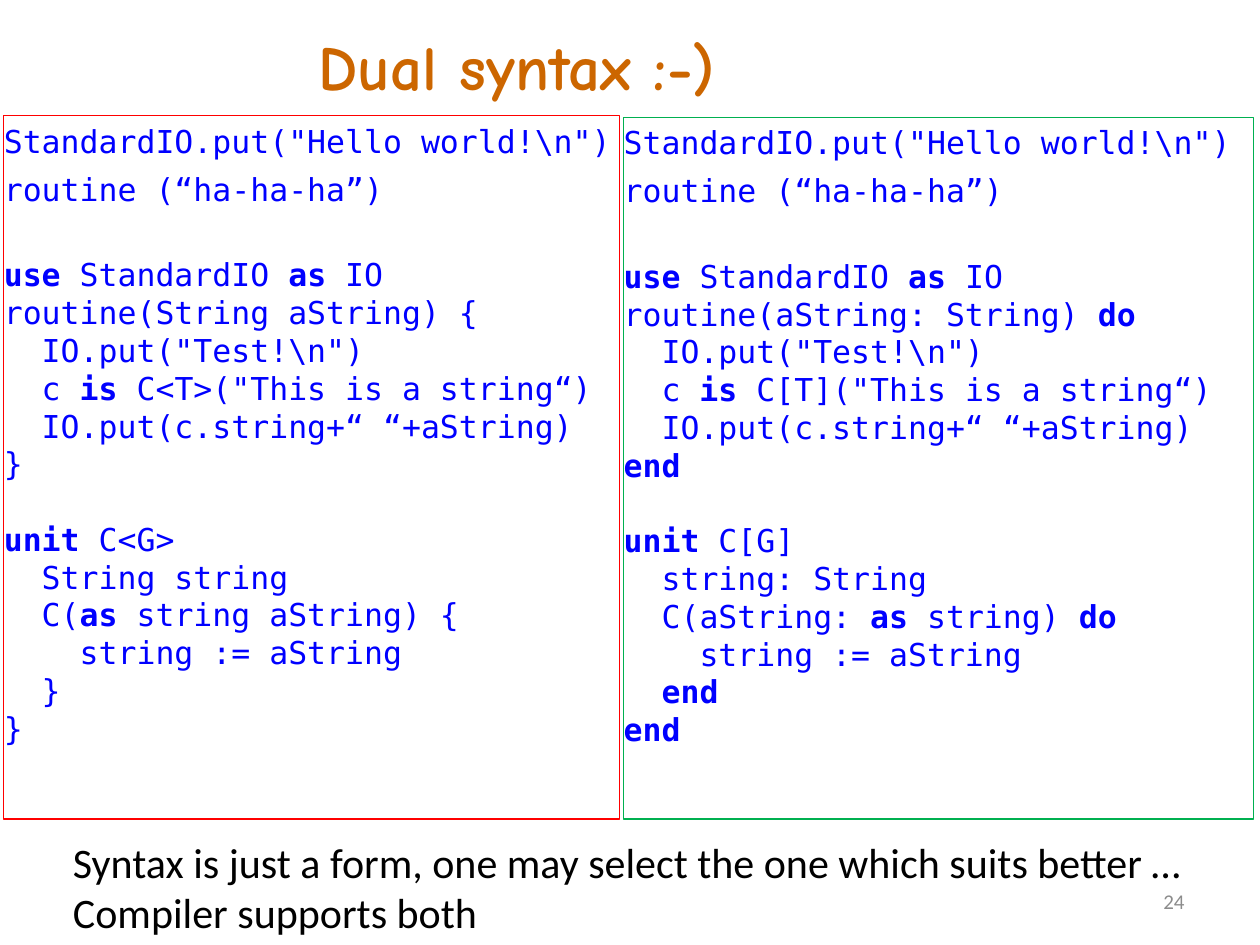
from dataclasses import dataclass

from pptx import Presentation
from pptx.dml.color import RGBColor
from pptx.enum import shapes, text
from pptx.util import Pt

COLORS = {
    "title": "CC6600",
    "code": "0000FF",
    "body": "000000",
    "number": "8C8C8C",
    "braces": "FF0000",
    "keywords": "00B050",
}
BLOCK_GAPS = (0, 5.8, 27.2, 21.5)
SHARED_CALLS = (r'StandardIO.put("Hello world!\n")', "routine (“ha-ha-ha”)")

BRACES_ROUTINE = r"""**use** StandardIO **as** IO
routine(String aString) {
  IO.put("Test!\n")
  c **is** C<T>("This is a string“)
  IO.put(c.string+“ “+aString)
}"""
BRACES_UNIT = """**unit** C<G>
  String string
  C(**as** string aString) {
    string := aString
  }
}"""
KEYWORDS_ROUTINE = r"""**use** StandardIO **as** IO
routine(aString: String) **do**
  IO.put("Test!\n")
  c **is** C[T]("This is a string“)
  IO.put(c.string+“ “+aString)
**end**"""
KEYWORDS_UNIT = """**unit** C[G]
  string: String
  C(aString: **as** string) **do**
    string := aString
  **end**
**end**"""


@dataclass(frozen=True)
class Box:
    left: float
    top: float
    width: float
    height: float

    def lengths(self) -> tuple:
        return tuple(Pt(v) for v in (self.left, self.top, self.width, self.height))


@dataclass(frozen=True)
class CodePanel:
    box: Box
    color: str
    blocks: tuple


PANELS = (
    CodePanel(Box(2.2, 66.2, 352, 401.8), "braces", (*SHARED_CALLS, BRACES_ROUTINE, BRACES_UNIT)),
    CodePanel(Box(356.4, 67, 360, 401), "keywords", (*SHARED_CALLS, KEYWORDS_ROUTINE, KEYWORDS_UNIT)),
)


def write(paragraph, content: str, *, font: str, size: float, color: str,
          bold: bool = False, align=text.PP_ALIGN.LEFT, before: float = 0) -> None:
    """Write text into a paragraph, with **marked** parts in bold."""
    paragraph.alignment = align
    paragraph.space_before = Pt(before)
    for row, line in enumerate(content.split("\n")):
        if row:
            paragraph.add_line_break()
        for index, part in enumerate(line.split("**")):
            if part:
                run = paragraph.add_run()
                run.text = part
                run.font.name = font
                run.font.size = Pt(size)
                run.font.bold = bold or index % 2 == 1
                run.font.color.rgb = RGBColor.from_string(COLORS[color])


def add_label(slide, box: Box, content: str, *, anchor=text.MSO_ANCHOR.TOP, **style) -> None:
    """Add a wrapping text box with one formatted paragraph."""
    frame = slide.shapes.add_textbox(*box.lengths()).text_frame
    frame.word_wrap = True
    frame.vertical_anchor = anchor
    write(frame.paragraphs[0], content, **style)


def add_panel(slide, panel: CodePanel) -> None:
    """Add an outlined rectangle holding blocks of code."""
    shape = slide.shapes.add_shape(shapes.MSO_SHAPE.RECTANGLE, *panel.box.lengths())
    shape.shadow.inherit = False
    shape.fill.background()
    shape.line.color.rgb = RGBColor.from_string(COLORS[panel.color])
    shape.line.width = Pt(0.75)
    frame = shape.text_frame
    frame.word_wrap = True
    frame.vertical_anchor = text.MSO_ANCHOR.TOP
    frame.margin_left = frame.margin_right = Pt(0)
    frame.margin_top = frame.margin_bottom = Pt(3.6)
    for index, (gap, block) in enumerate(zip(BLOCK_GAPS, panel.blocks)):
        paragraph = frame.add_paragraph() if index else frame.paragraphs[0]
        write(paragraph, block, font="DejaVu Sans Mono", size=18, color="code", before=gap)


def main() -> None:
    """Build the slide and save it."""
    presentation = Presentation()
    presentation.slide_width, presentation.slide_height = Pt(720), Pt(540)
    slide = presentation.slides.add_slide(presentation.slide_layouts[6])
    add_label(slide, Box(175, 12.2, 413.3, 50.4), "Dual syntax :-)",
              font="Comic Neue", size=36, color="title", bold=True)
    for panel in PANELS:
        add_panel(slide, panel)
    add_label(slide, Box(34.6, 474.5, 648, 65.5),
              "Syntax is just a form, one may select the one which suits better … Compiler supports both",
              font="Calibri", size=24, color="body")
    add_label(slide, Box(642.2, 500.4, 41.8, 28.8), "24", anchor=text.MSO_ANCHOR.MIDDLE,
              font="Calibri", size=12, color="number", align=text.PP_ALIGN.RIGHT)
    presentation.save("out.pptx")


if __name__ == "__main__":
    main()
